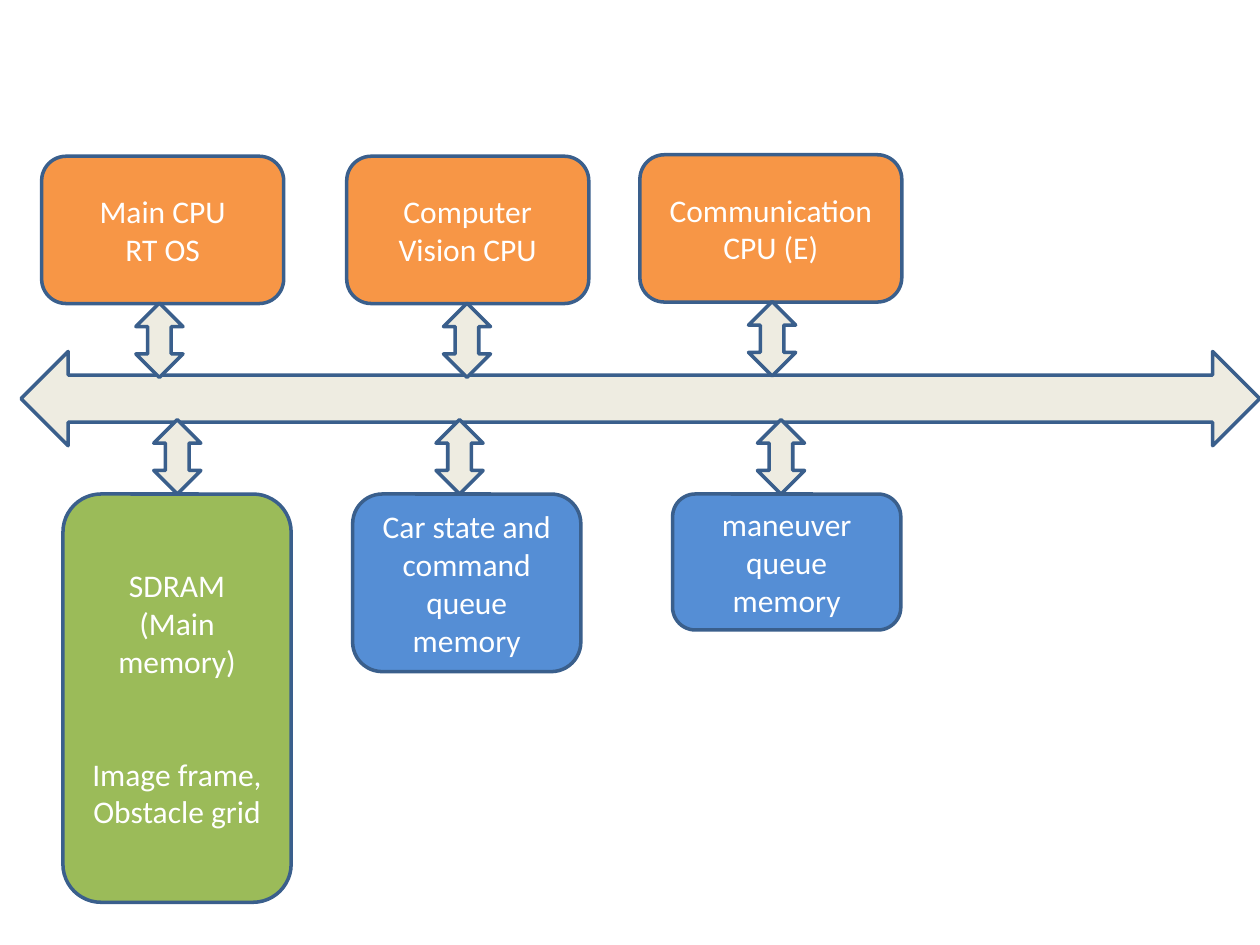
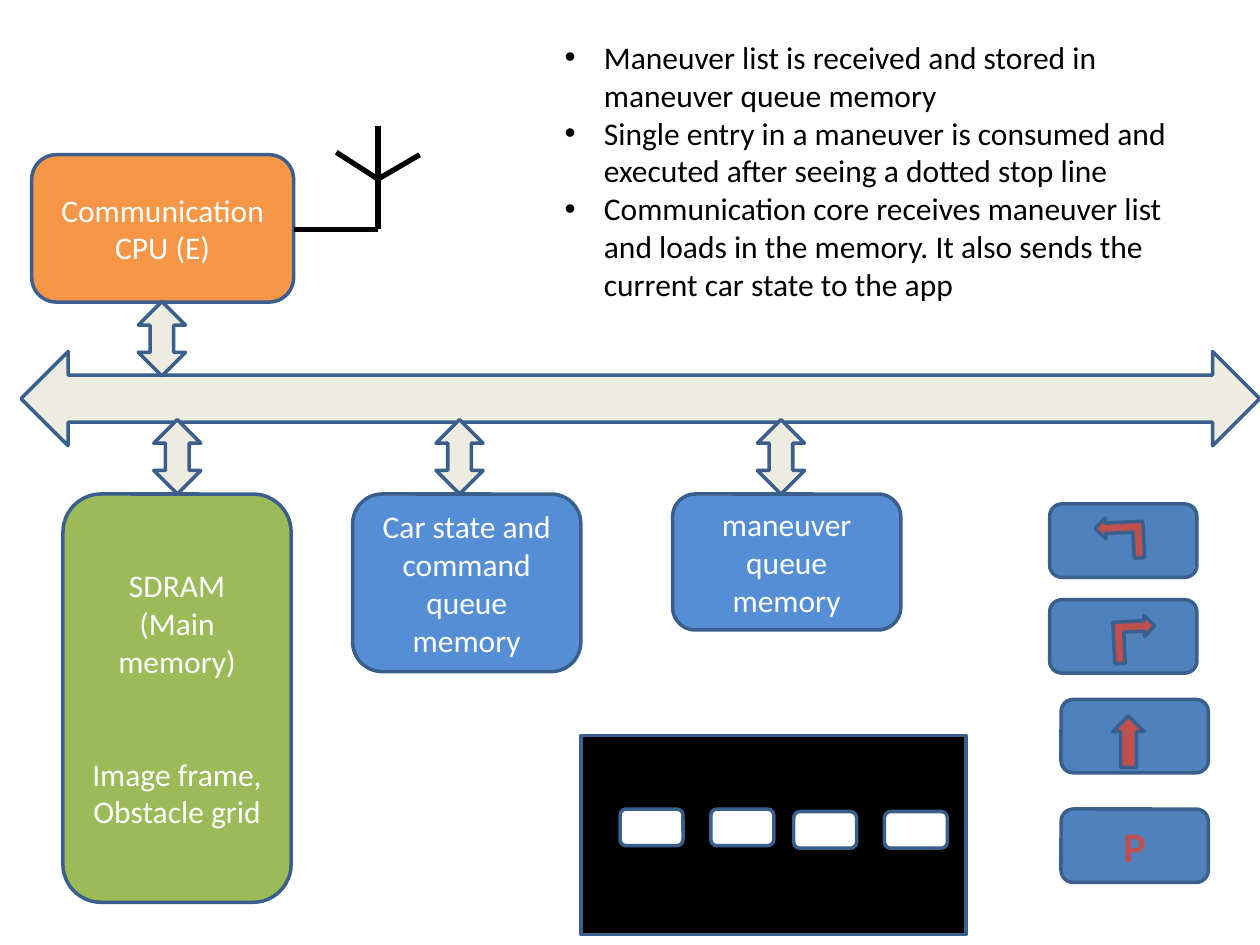
from lxml import etree
from pptx import Presentation
from pptx.dml.color import RGBColor
from pptx.enum.shapes import MSO_CONNECTOR, MSO_SHAPE
from pptx.enum.text import MSO_ANCHOR, MSO_AUTO_SIZE, PP_ALIGN
from pptx.oxml.ns import qn
from pptx.util import Cm, Pt

BOX = MSO_SHAPE.FLOWCHART_ALTERNATE_PROCESS
DOUBLE_ARROW = MSO_SHAPE.UP_DOWN_ARROW
BENT_ARROW = MSO_SHAPE.BENT_UP_ARROW
UP_ARROW = MSO_SHAPE.UP_ARROW
ROUNDED = MSO_SHAPE.ROUNDED_RECTANGLE
RECTANGLE = MSO_SHAPE.RECTANGLE
STRAIGHT = MSO_CONNECTOR.STRAIGHT
CENTER, LEFT = PP_ALIGN.CENTER, PP_ALIGN.LEFT
MIDDLE, TOP = MSO_ANCHOR.MIDDLE, MSO_ANCHOR.TOP
GROW = MSO_AUTO_SIZE.SHAPE_TO_FIT_TEXT

FONT = "Calibri"
ORANGE = RGBColor(0xF7, 0x96, 0x46)
GREEN = RGBColor(0x9B, 0xBB, 0x59)
BLUE = RGBColor(0x55, 0x8E, 0xD5)
KEY_BLUE = RGBColor(0x4F, 0x81, 0xBD)
OUTLINE = RGBColor(0x3A, 0x5F, 0x8C)
CREAM = RGBColor(0xEE, 0xEC, 0xE1)
RED = RGBColor(0xC0, 0x50, 0x4D)
WHITE = RGBColor(0xFF, 0xFF, 0xFF)
BLACK = RGBColor(0x00, 0x00, 0x00)


def add_run(p, text, color, size=18, bold=None):
    r = p.add_run()
    r.text = text
    r.font.name = FONT
    r.font.size = Pt(size)
    r.font.bold = bold
    r.font.color.rgb = color


def add_block(s, kind, fill, left, top, width, height, lines=()):
    sp = s.shapes.add_shape(kind, Cm(left), Cm(top), Cm(width), Cm(height))
    sp.shadow.inherit = False
    sp.fill.solid()
    sp.fill.fore_color.rgb = fill
    sp.line.color.rgb = OUTLINE
    sp.line.width = Pt(2)
    tf = sp.text_frame
    tf.word_wrap = True
    tf.vertical_anchor = MIDDLE
    for i, line in enumerate(lines):
        p = tf.add_paragraph() if i else tf.paragraphs[0]
        p.alignment = CENTER
        add_run(p, line, WHITE)
    return sp


prs = Presentation()
prs.slide_width, prs.slide_height = Cm(25.4), Cm(19.05)
overview = prs.slides.add_slide(prs.slide_layouts[6])
maneuvers = prs.slides.add_slide(prs.slide_layouts[1])
title = maneuvers.shapes.title.element
title.getparent().remove(title)

cpus = [
    (overview, 0.84, 3.15, 4.88, 2.74, ["Main CPU", "RT OS"]),
    (overview, 6.99, 3.15, 4.88, 8.94, ["Computer Vision CPU"]),
    (overview, 12.9, 3.12, 5.28, 15.09, ["Communication CPU (E)"]),
    (maneuvers, 0.64, 3.12, 5.28, 2.79, ["Communication CPU (E)"]),
]
memories = [
    (1.27, 8.23, 3.1, GREEN,
     ["SDRAM", "(Main memory)", "Image frame,", "Obstacle grid"]),
    (7.11, 3.58, 8.79, BLUE, ["Car state and command queue memory"]),
    (13.56, 2.74, 15.27, BLUE, ["maneuver queue memory"]),
]

for s in (overview, maneuvers):
    bus = add_block(s, DOUBLE_ARROW, CREAM, 11.96, -4.45, 1.9, 24.97)
    bus.rotation = 270
    for left, height, arrow_left, fill, lines in memories:
        add_block(s, DOUBLE_ARROW, CREAM, arrow_left, 8.46, 0.95, 1.5)
        sp = add_block(s, BOX, fill, left, 9.96, 4.6, height, lines)
        if fill == GREEN:
            sp.text_frame.paragraphs[2].space_before = Pt(43)

for s, left, top, width, arrow_left, lines in cpus:
    add_block(s, BOX, ORANGE, left, top, width, 2.97, lines)
    add_block(s, DOUBLE_ARROW, CREAM, arrow_left, top + 2.96, 0.95, 1.5)

body = maneuvers.placeholders[1]
body.left, body.top, body.width, body.height = Cm(11.13), Cm(0.64), Cm(13.6), Cm(6.4)
tf = body.text_frame
tf.word_wrap = True
tf.auto_size = GROW
tf.vertical_anchor = TOP
notes = [
    "Maneuver list is received and stored in maneuver queue memory",
    "Single entry in a maneuver is consumed and executed after seeing a dotted stop line",
    "Communication core receives maneuver list and loads in the memory. "
    "It also sends the current car state to the app",
]
for i, note in enumerate(notes):
    p = tf.add_paragraph() if i else tf.paragraphs[0]
    p.alignment = LEFT
    p.space_before = Pt(0)
    add_run(p, note, BLACK)
    pPr = p._p.get_or_add_pPr()
    pPr.set("marL", str(Cm(0.79)))
    pPr.set("indent", str(-Cm(0.79)))
    etree.SubElement(pPr, qn("a:buFont")).set("typeface", "Arial")
    etree.SubElement(pPr, qn("a:buChar")).set("char", "•")

corner, fork = (7.62, 4.62), (7.62, 3.61)
antenna = [
    ((5.92, 4.62), corner), (corner, fork),
    (fork, (6.78, 3.07)), (fork, (7.62, 2.54)), (fork, (8.46, 3.12)),
]
for (x1, y1), (x2, y2) in antenna:
    wire = maneuvers.shapes.add_connector(STRAIGHT, Cm(x1), Cm(y1), Cm(x2), Cm(y2))
    wire.line.color.rgb = BLACK
    wire.line.width = Pt(3)
    etree.SubElement(wire._element.spPr, qn("a:effectLst"))

for left, top in [(21.16, 10.16), (21.16, 12.09), (21.39, 14.1), (21.39, 16.31)]:
    key = add_block(maneuvers, ROUNDED, KEY_BLUE, left, top, 2.97, 1.48)
p = key.text_frame.paragraphs[0]
p.alignment = CENTER
add_run(p, "P", RED, 24, True)

turn_left = add_block(maneuvers, BENT_ARROW, RED, 22.15, 10.36, 0.84, 0.97)
turn_right = add_block(maneuvers, BENT_ARROW, RED, 22.4, 12.47, 0.94, 0.84)
for turn in (turn_left, turn_right):
    turn.rotation = 267.2
turn_right._element.spPr.xfrm.set("flipV", "1")
add_block(maneuvers, UP_ARROW, RED, 22.43, 14.43, 0.64, 1.04)

add_block(maneuvers, RECTANGLE, BLACK, 11.71, 14.83, 7.77, 4.01)
for left, top in [(12.5, 16.31), (14.33, 16.31), (16, 16.36), (17.83, 16.36)]:
    add_block(maneuvers, ROUNDED, WHITE, left, top, 1.27, 0.74)

prs.save("out.pptx")
